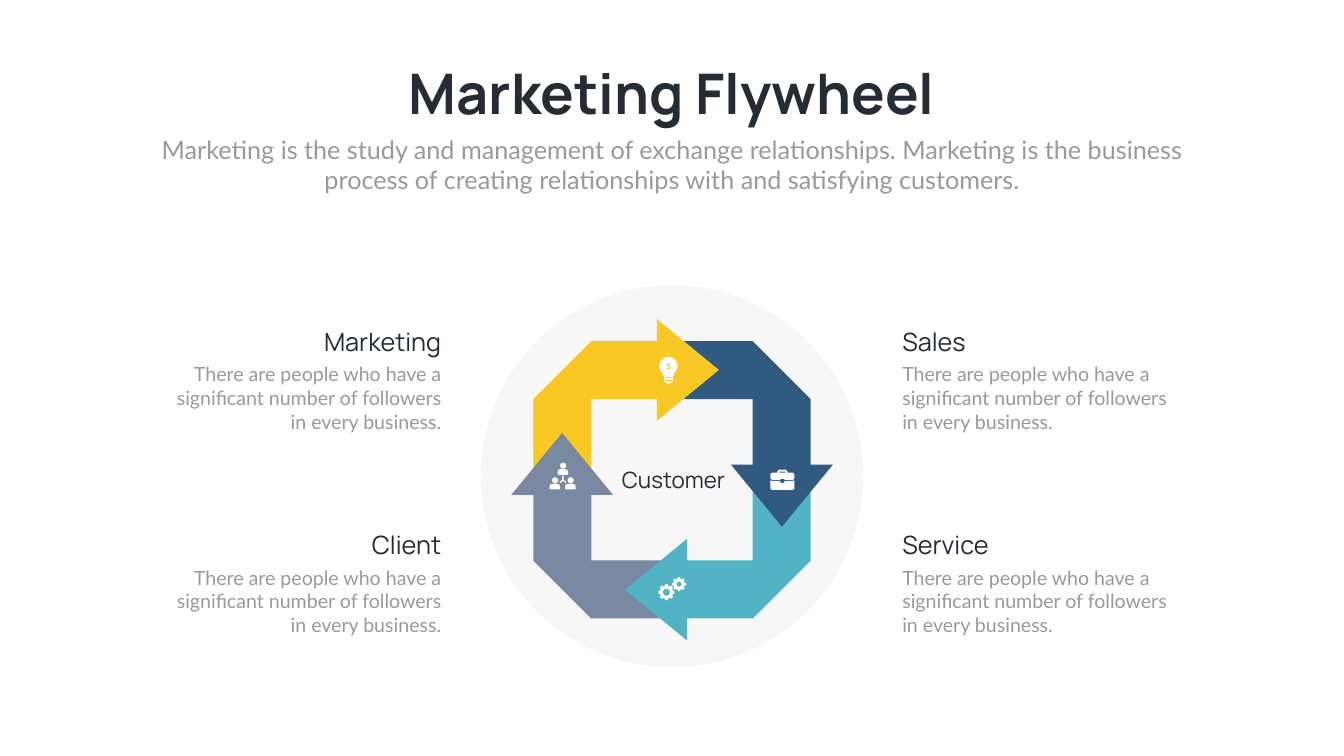
import math

import pptx
import pptx.dml.color
import pptx.enum.shapes
import pptx.enum.text
import pptx.util
from lxml import etree

# The grid has square cells, 15 rows high and 26.66 columns wide
COLUMNS, ROWS = 26.66, 15
CELL = pptx.util.Inches(1)
COLORS = {
    "ink": "252C34", "muted": "999999", "disc": "F2F2F2", "icon": "FFFFFF",
    "yellow": "F8C825", "navy": "305A80", "teal": "52B3C4", "slate": "7989A2",
}
ALIGN = pptx.enum.text.PP_ALIGN
SHAPE = pptx.enum.shapes.MSO_SHAPE


def cells(*lengths):
    return [round(length * CELL) for length in lengths]


def arc(x, y, radius, start=0, end=360, steps=24):
    angles = [math.radians(start + (end - start) * i / steps) for i in range(steps + 1)]
    return [(x + radius * math.cos(a), y + radius * math.sin(a)) for a in angles]


def gear(x, y, tip, root, teeth=8):
    profile = [(-15, root), (-9, tip), (9, tip), (15, root)]
    return [arc(x, y, radius, 360 * tooth / teeth + turn)[0]
            for tooth in range(teeth) for turn, radius in profile]


def box(left, top, right, bottom):
    return [(left, top), (right, top), (right, bottom), (left, bottom)]


class FlywheelSlide:
    heading_font = "Manrope"
    body_font = "Lato"

    def __init__(self, deck):
        self.slide = deck.slides.add_slide(deck.slide_layouts[0])
        self.shapes = self.slide.shapes

    def paint(self, shape, color, opacity=100):
        shape.shadow.inherit = False
        shape.line.fill.background()
        shape.fill.solid()
        shape.fill.fore_color.rgb = pptx.dml.color.RGBColor.from_string(COLORS[color])
        if opacity < 100:
            tint = shape.element.spPr.find(".//" + pptx.oxml.ns.qn("a:srgbClr"))
            etree.SubElement(tint, pptx.oxml.ns.qn("a:alpha"), val=str(opacity * 1000))

    def preset(self, kind, left, top, width, height, color, opacity=100):
        shape = self.shapes.add_shape(kind, *cells(left, top, width, height))
        self.paint(shape, color, opacity)
        return shape

    def outline(self, color, *contours):
        first, *holes = [[cells(*point) for point in contour] for contour in contours]
        builder = self.shapes.build_freeform(*first[0])
        builder.add_line_segments(first[1:], close=True)
        for hole in holes:
            builder.move_to(*hole[0])
            builder.add_line_segments(hole[1:], close=True)
        self.paint(builder.convert_to_shape(), color)

    def set_text(self, holder, place, text, size, font, color, align, bold=False, wrap=True):
        holder.left, holder.top, holder.width, holder.height = cells(*place)
        frame = holder.text_frame
        frame.word_wrap = wrap
        frame.auto_size = pptx.enum.text.MSO_AUTO_SIZE.SHAPE_TO_FIT_TEXT
        frame.vertical_anchor = pptx.enum.text.MSO_ANCHOR.TOP
        paragraph = frame.paragraphs[0]
        paragraph.alignment = align
        paragraph.space_before = pptx.util.Pt(0)
        run = paragraph.add_run()
        run.text = text
        run.font.size = pptx.util.Pt(size)
        run.font.name = font
        run.font.bold = bold
        run.font.color.rgb = pptx.dml.color.RGBColor.from_string(COLORS[color])

    def title(self, place, text):
        self.set_text(self.shapes.title, place, text, 80, self.heading_font, "ink",
                      ALIGN.CENTER, bold=True, wrap=False)

    def subtitle(self, place, text):
        self.set_text(self.slide.placeholders[1], place, text, 36, self.body_font,
                      "muted", ALIGN.CENTER)

    def heading(self, place, text, align, size=36):
        self.set_text(self.shapes.add_textbox(0, 0, 0, 0), place, text, size,
                      self.heading_font, "ink", align)

    def description(self, place, text, align):
        self.set_text(self.shapes.add_textbox(0, 0, 0, 0), place, text, 28,
                      self.body_font, "muted", align)


def draw_wheel(page):
    hub_x, hub_y = COLUMNS / 2, 9.52
    outer, inner = 2.75, 1.6
    start, tip = 0.3, 0.93
    middle, half_head = 2.18, 1.01
    tail = [(-inner, -outer), (-inner, start), (-outer, start), (-outer, -inner)]
    head = [(-outer, -inner), (-inner, -outer), (-start, -outer),
            (-start, -middle - half_head), (tip, -middle),
            (-start, -middle + half_head), (-start, -inner)]
    # Every stage is the first one, a quarter turn further clockwise;
    # all tails lie below all arrowheads
    for part in (tail, head):
        for color in ("yellow", "navy", "teal", "slate"):
            page.outline(color, [(hub_x + x, hub_y + y) for x, y in part])
            part = [(-y, x) for x, y in part]


def draw_bulb(page):
    axis = 13.26
    base = [(0.11, 7.43), (0.09, 7.47), (0.09, 7.54), (0.06, 7.59), (0.02, 7.61)]
    bulb = (arc(axis, 7.26, 0.18, 130, 410)
            + [(axis + x, y) for x, y in base]
            + [(axis - x, y) for x, y in reversed(base)])
    dollar = [(13.25, 7.2), (13.27, 7.2), (13.27, 7.21), (13.3, 7.21), (13.3, 7.23),
              (13.26, 7.23), (13.26, 7.25), (13.3, 7.27), (13.3, 7.31), (13.27, 7.32),
              (13.27, 7.33), (13.25, 7.33), (13.25, 7.32), (13.23, 7.32), (13.23, 7.3),
              (13.27, 7.3), (13.27, 7.28), (13.23, 7.26), (13.23, 7.22), (13.25, 7.21)]
    page.outline("icon", bulb, dollar, box(13.2, 7.48, 13.33, 7.5),
                 box(13.2, 7.54, 13.33, 7.57))


def draw_briefcase(page):
    lid = [(15.31, 9.38), (15.42, 9.38), (15.42, 9.35), (15.45, 9.32), (15.59, 9.32),
           (15.62, 9.35), (15.62, 9.38), (15.73, 9.38), (15.76, 9.41), (15.76, 9.49),
           (15.73, 9.52), (15.56, 9.52), (15.56, 9.5), (15.48, 9.5), (15.48, 9.52),
           (15.31, 9.52), (15.28, 9.49), (15.28, 9.41)]
    case = [(15.28, 9.53), (15.31, 9.54), (15.48, 9.54), (15.48, 9.58), (15.56, 9.58),
            (15.56, 9.54), (15.73, 9.54), (15.76, 9.53), (15.76, 9.69), (15.73, 9.72),
            (15.31, 9.72), (15.28, 9.69)]
    page.outline("icon", lid, box(15.46, 9.36, 15.58, 9.38))
    page.outline("icon", case)


def draw_gears(page):
    page.outline("icon", gear(13.22, 11.75, 0.16, 0.13), arc(13.22, 11.75, 0.07),
                 gear(13.47, 11.59, 0.14, 0.11), arc(13.47, 11.59, 0.05))


def draw_team(page):
    for x, y in ((11.17, 9.18), (11.01, 9.47), (11.32, 9.47)):
        page.preset(SHAPE.OVAL, x - 0.06, y, 0.12, 0.12, "icon")
        body = page.preset(SHAPE.ROUND_2_SAME_RECTANGLE, x - 0.11, y + 0.13, 0.21, 0.11, "icon")
        body.adjustments[0], body.adjustments[1] = 0.5, 0.2
    page.outline("icon", [(11.15, 9.44), (11.18, 9.44), (11.18, 9.52), (11.23, 9.56),
                          (11.22, 9.59), (11.17, 9.54), (11.11, 9.59), (11.1, 9.56),
                          (11.15, 9.52)])


def main():
    deck = pptx.Presentation()
    deck.slide_width, deck.slide_height = cells(COLUMNS, ROWS)
    page = FlywheelSlide(deck)

    # Title and introduction
    page.title((7.58, 1.12, 11.5, 1.45), "Marketing Flywheel")
    page.subtitle((2.92, 2.61, 20.82, 1.31),
                  "Marketing is the study and management of exchange relationships. "
                  "Marketing is the business process of creating relationships with "
                  "and satisfying customers.")

    # Wheel of four arrows around the customer
    page.preset(SHAPE.OVAL, 9.54, 5.66, 7.58, 7.58, "disc", opacity=60)
    draw_wheel(page)
    page.heading((11.86, 9.2, 3, 0.62), "Customer", ALIGN.CENTER, size=32)

    # Stage icons
    for draw_icon in (draw_bulb, draw_briefcase, draw_gears, draw_team):
        draw_icon(page)

    # Stage descriptions on both sides
    sides = ((3.31, ALIGN.RIGHT, ("Marketing", "Client")),
             (17.8, ALIGN.LEFT, ("Sales", "Service")))
    for left, align, stages in sides:
        for row, stage in enumerate(stages):
            top = 6.43 + 4.03 * row
            page.heading((left, top, 5.54, 0.71), stage, align)
            page.description((left, top + 0.71, 5.54, 1.51),
                             "There are people who have a significant number of "
                             "followers in every business.", align)

    deck.save("out.pptx")


if __name__ == "__main__":
    main()
